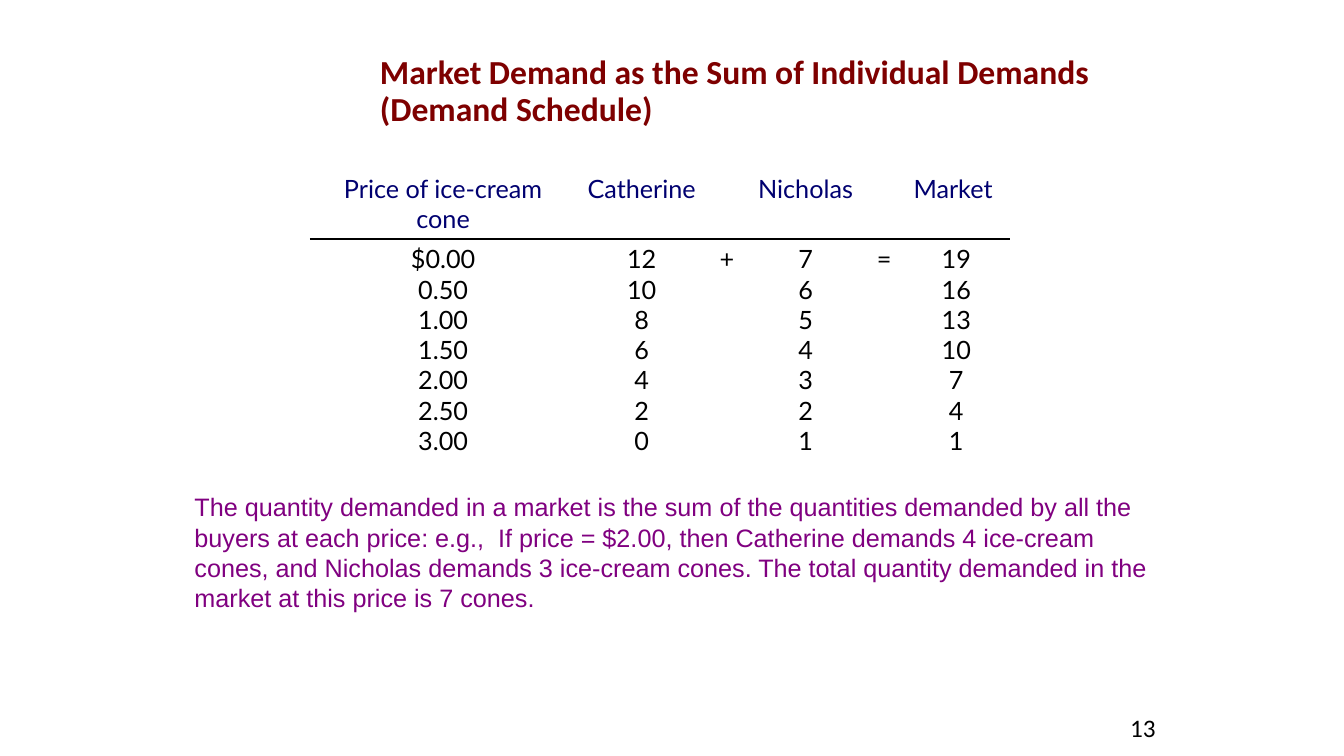
from dataclasses import dataclass

from lxml import etree
from pptx import Presentation
from pptx.dml.color import RGBColor
from pptx.enum.text import MSO_ANCHOR, PP_ALIGN
from pptx.oxml.ns import qn
from pptx.util import Inches, Pt

LEFT, CENTER = PP_ALIGN.LEFT, PP_ALIGN.CENTER
TOP, MIDDLE = MSO_ANCHOR.TOP, MSO_ANCHOR.MIDDLE

TITLE = ["Market Demand as the Sum of Individual Demands\v(Demand Schedule)"]
HEADS = ["Price of ice-cream cone", "Catherine ", "", "Nicholas ", "", "Market "]
PRICES = ["$0.00", "0.50", "1.00", "1.50", "2.00", "2.50", "3.00"]
CATHERINE = [12, 10, 8, 6, 4, 2, 0]
NICHOLAS = [7, 6, 5, 4, 3, 2, 1]
MARKET = [c + n for c, n in zip(CATHERINE, NICHOLAS)]
COLUMNS = [PRICES, CATHERINE, ["+"], NICHOLAS, ["="], MARKET]
NOTE = [
    "The quantity demanded in a market is the sum of the quantities demanded by all the",
    "buyers at each price: e.g.,  If price = $2.00, then Catherine demands 4 ice-cream",
    "cones, and Nicholas demands 3 ice-cream cones. The total quantity demanded in the",
    "market at this price is 7 cones.",
]
PAGE = ["13"]

WIDTH, HEIGHT = 13.33, 7.5
COL_WIDTHS = [2.63, 1.31, 0.38, 1.18, 0.38, 1.05]
ROW_HEIGHTS = [0.41, 2.57]


@dataclass(frozen=True)
class Theme:
    title: str = "7E0000"
    head: str = "000070"
    body: str = "000000"
    note: str = "800080"
    heading_font: str = "Calibri"
    table_font: str = "Lato"
    note_font: str = "Arial"
    large: int = 24
    normal: int = 18
    rule: int = 1


THEME = Theme()


def write(frame, lines, *, font, color, size=THEME.normal, bold=False,
          align=LEFT, spacing=None):
    """Fill a text frame with one paragraph per line."""
    for i, line in enumerate(lines):
        para = frame.paragraphs[0] if i == 0 else frame.add_paragraph()
        para.text = str(line)
        para.alignment = align
        if spacing:
            para.line_spacing = spacing
        for item in [para, *para.runs]:
            item.font.name = font
            item.font.size = Pt(size)
            item.font.bold = bold
            item.font.color.rgb = RGBColor.from_string(color)


def add_text(slide, lines, left, top, width, height, wrap=True, anchor=TOP, **style):
    box = slide.shapes.add_textbox(*map(Inches, (left, top, width, height)))
    frame = box.text_frame
    frame.word_wrap = wrap
    frame.vertical_anchor = anchor
    write(frame, lines, **style)


def add_rule(cell, side):
    """Draw a line on one side of a cell: lnT or lnB."""
    line = etree.Element(qn(f"a:{side}"), w=str(Pt(THEME.rule)))
    fill = etree.SubElement(line, qn("a:solidFill"))
    etree.SubElement(fill, qn("a:srgbClr"), val=THEME.body)
    cell._tc.get_or_add_tcPr().insert(0, line)


def add_schedule(slide, left, top):
    size = (sum(COL_WIDTHS), sum(ROW_HEIGHTS))
    table = slide.shapes.add_table(
        len(ROW_HEIGHTS), len(COL_WIDTHS), *map(Inches, (left, top, *size))).table
    table.first_row = table.horz_banding = False
    for row, height in zip(table.rows, ROW_HEIGHTS):
        row.height = Inches(height)
    for i, (width, head, values) in enumerate(zip(COL_WIDTHS, HEADS, COLUMNS)):
        table.columns[i].width = Inches(width)
        parts = (([head], THEME.head, "lnB"), (values, THEME.body, "lnT"))
        for row, (lines, color, side) in enumerate(parts):
            cell = table.cell(row, i)
            cell.fill.background()
            add_rule(cell, side)
            write(cell.text_frame, lines, font=THEME.table_font, color=color,
                  align=CENTER)


def main():
    deck = Presentation()
    deck.slide_width, deck.slide_height = Inches(WIDTH), Inches(HEIGHT)
    slide = deck.slides.add_slide(deck.slide_layouts[6])
    add_text(slide, TITLE, 3.67, 0.5, 9.66, 0.83, anchor=MIDDLE, spacing=0.9,
             font=THEME.heading_font, color=THEME.title, size=THEME.large, bold=True)
    add_schedule(slide, 3.08, 1.67)
    add_text(slide, NOTE, 1.83, 4.83, 9.65, 1.3, wrap=False,
             font=THEME.note_font, color=THEME.note)
    add_text(slide, PAGE, 11, 7.02, 0.67, 0.4, align=CENTER,
             font=THEME.heading_font, color=THEME.body)
    deck.save("out.pptx")


if __name__ == "__main__":
    main()
